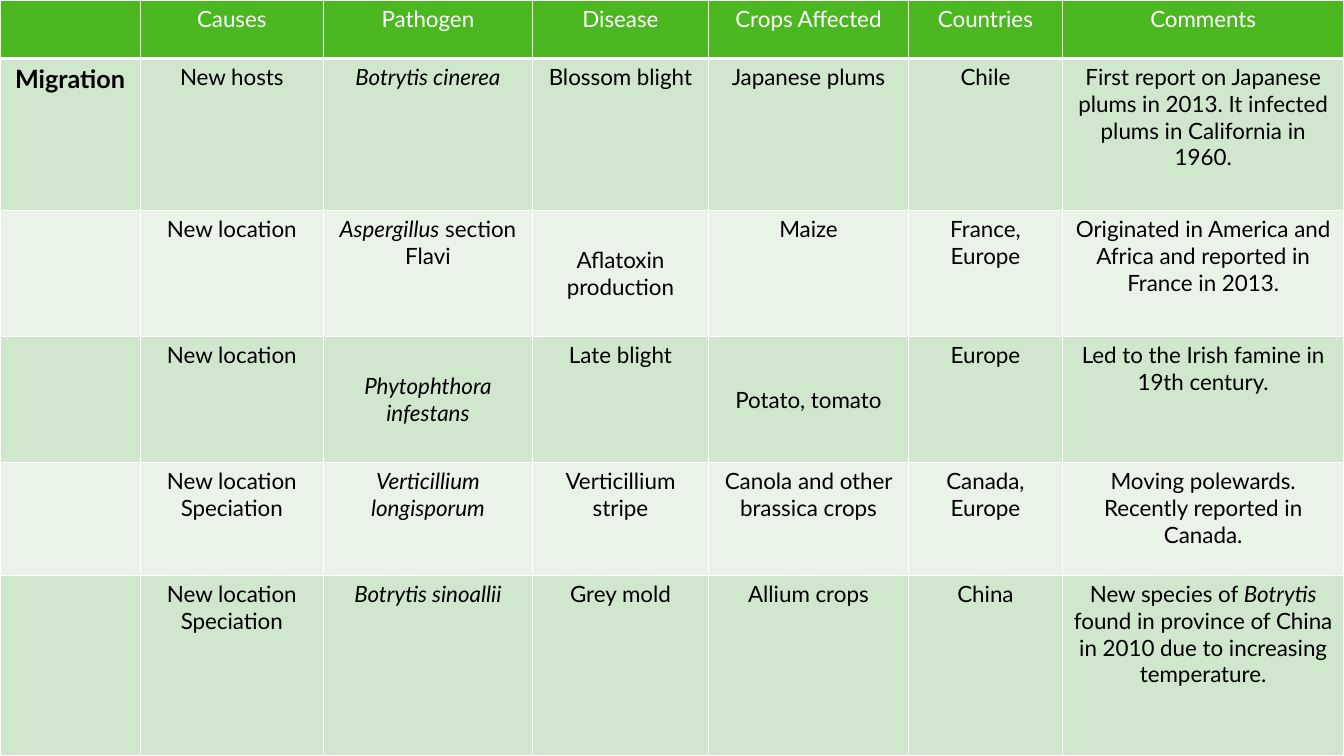
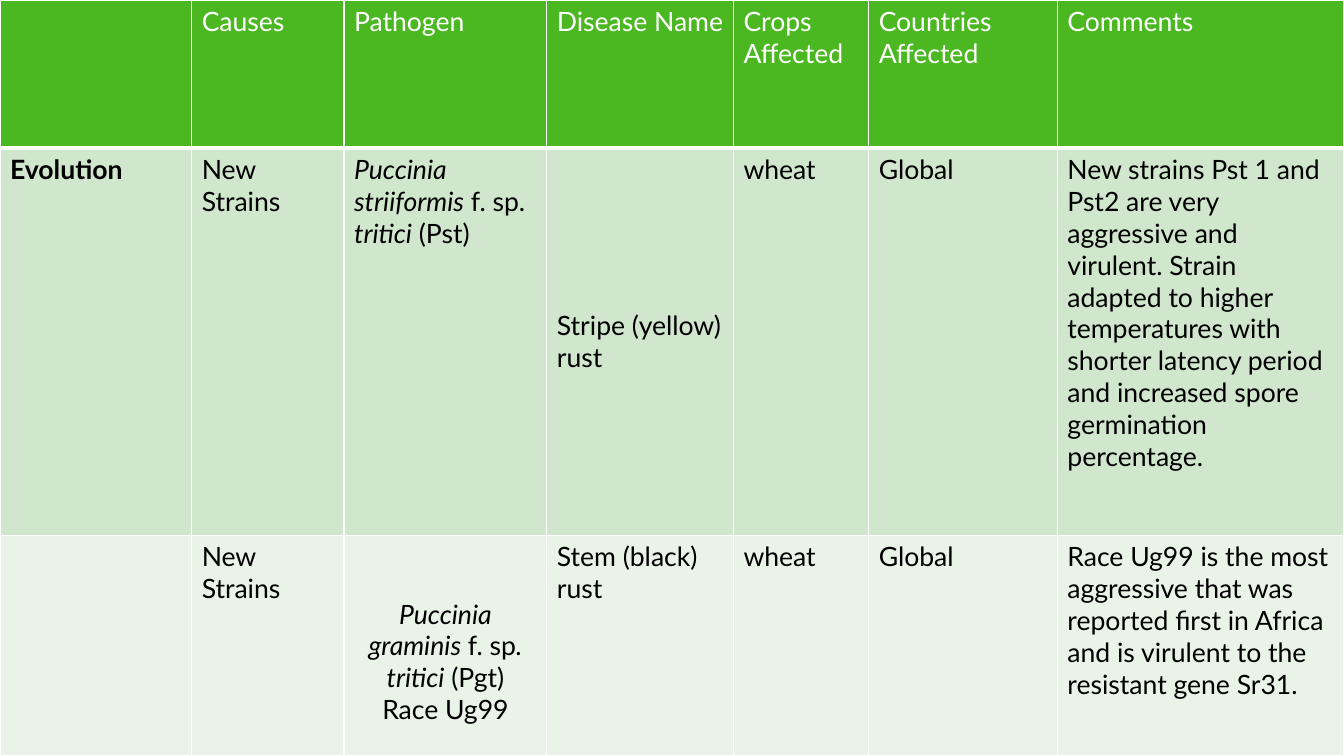
from lxml import etree
from pptx import Presentation
from pptx import util as u
from pptx.dml.color import RGBColor
from pptx.enum import text
from pptx.oxml import ns

WIDE, HIGH = 13.33, 7.5
FONT = "Lato"
HUE = {"back": "412B24", "head": "4BB821", "odd": "D0E6CD",
       "even": "E9F3E8", "line": "FFFFFF", "light": "FFFFFF", "dark": "000000"}
LEFT, MID = text.PP_ALIGN.LEFT, text.PP_ALIGN.CENTER

# Words between asterisks are italic; a new line starts a new paragraph.
MOVES = [
    ["", "Causes", "Pathogen", "Disease", "Crops Affected", "Countries", "Comments"],
    ["Migration", "New hosts", "*Botrytis cinerea*", "Blossom blight", "Japanese plums",
     "Chile", "First report on Japanese plums in 2013. It infected plums in California in 1960."],
    ["", "New location", "*Aspergillus* section Flavi", "Aflatoxin production", "Maize",
     "France, Europe", "Originated in America and Africa and reported in France in 2013."],
    ["", "New location", "*Phytophthora infestans*", "Late blight", "Potato, tomato",
     "Europe", "Led to the Irish famine in 19th century."],
    ["", "New location\nSpeciation", "*Verticillium longisporum*", "Verticillium stripe",
     "Canola and other brassica crops", "Canada,\nEurope",
     "Moving polewards.\nRecently reported in Canada."],
    ["", "New location\nSpeciation", "*Botrytis sinoallii*", "Grey mold", "Allium crops",
     "China", "New species of *Botrytis* found in province of China in 2010 "
     "due to increasing temperature."],
]
STRAINS = [
    ["", "Causes", "Pathogen", "Disease Name", "Crops Affected", "Countries Affected",
     "Comments"],
    ["Evolution", "New Strains", "*Puccinia striiformis* f. sp. *tritici* (Pst)",
     "Stripe (yellow) rust", "wheat", "Global",
     "New strains Pst 1 and Pst2 are very aggressive and virulent. Strain adapted to higher "
     "temperatures with shorter latency period and increased spore germination percentage."],
    ["", "New Strains", "*Puccinia graminis* f. sp*. tritici* (Pgt)\nRace Ug99",
     "Stem (black) rust", "wheat", "Global",
     "Race Ug99 is the most aggressive that was reported first in Africa and is virulent "
     "to the resistant gene Sr31."],
]


def rgb(name):
    return RGBColor.from_string(HUE[name])


def edge(cell, head):
    """White borders, heavier under the header row."""
    props = cell._tc.get_or_add_tcPr()
    for spot, side in enumerate("LRTB"):
        wide = 3 if head and side == "B" else 1
        line = etree.Element(ns.qn("a:ln" + side), w=str(u.Pt(wide)))
        fill = etree.SubElement(line, ns.qn("a:solidFill"))
        etree.SubElement(fill, ns.qn("a:srgbClr"), val=HUE["line"])
        props.insert(spot, line)


def write(cell, words, size, hue, bold, align):
    frame = cell.text_frame
    for n, line in enumerate(words.split("\n")):
        para = frame.add_paragraph() if n else frame.paragraphs[0]
        para.alignment = align
        for k, part in enumerate(line.split("*")):
            if part:
                run = para.add_run()
                run.text = part
                font = run.font
                font.name, font.size = FONT, u.Pt(size)
                font.bold, font.italic = bold, k % 2 == 1
                font.color.rgb = rgb(hue)


def grid(slide, box, data, cols, rows, size, lead, align, middle):
    """Table whose columns and rows share the box in the given ratios."""
    left, top, wide, high = box
    table = slide.shapes.add_table(len(rows), len(cols), *map(u.Inches, box)).table
    for col, share in zip(table.columns, cols):
        col.width = u.Inches(wide * share / sum(cols))
    for row, share in zip(table.rows, rows):
        row.height = u.Inches(high * share / sum(rows))
    for r, line in enumerate(data):
        band = "odd" if r % 2 else "even"
        for c, words in enumerate(line):
            cell, head = table.cell(r, c), r == 0
            cell.fill.solid()
            cell.fill.fore_color.rgb = rgb("head" if head else band)
            edge(cell, head)
            if (r, c) in middle:
                cell.vertical_anchor = text.MSO_ANCHOR.MIDDLE
            title = c == 0
            write(cell, words, lead if title else size,
                  "light" if head else "dark", title, align)
    return table


def main():
    deck = Presentation()
    deck.slide_width, deck.slide_height = u.Inches(WIDE), u.Inches(HIGH)
    back = deck.slide_master.background.fill
    back.solid()
    back.fore_color.rgb = rgb("back")
    blank = deck.slide_layouts[6]
    full = (0, 0, WIDE, HIGH)

    grid(deck.slides.add_slide(blank), full, MOVES,
         [1.39, 1.82, 2.07, 1.75, 1.98, 1.53, 2.79],
         [0.58, 1.51, 1.25, 1.25, 1.12, 1.79], 16, 18, MID,
         {(2, 3), (3, 2), (3, 4)})

    table = grid(deck.slides.add_slide(blank), full, STRAINS,
                 [1.9, 1.51, 2.01, 1.85, 1.34, 1.87, 2.84],
                 [1.47, 3.84, 2.19], 19, 19, LEFT, {(1, 3), (2, 2)})
    race = table.cell(2, 2)
    race.margin_top = u.Inches(0.37)
    for para in race.text_frame.paragraphs:
        para.alignment = MID

    deck.save("out.pptx")


if __name__ == "__main__":
    main()
